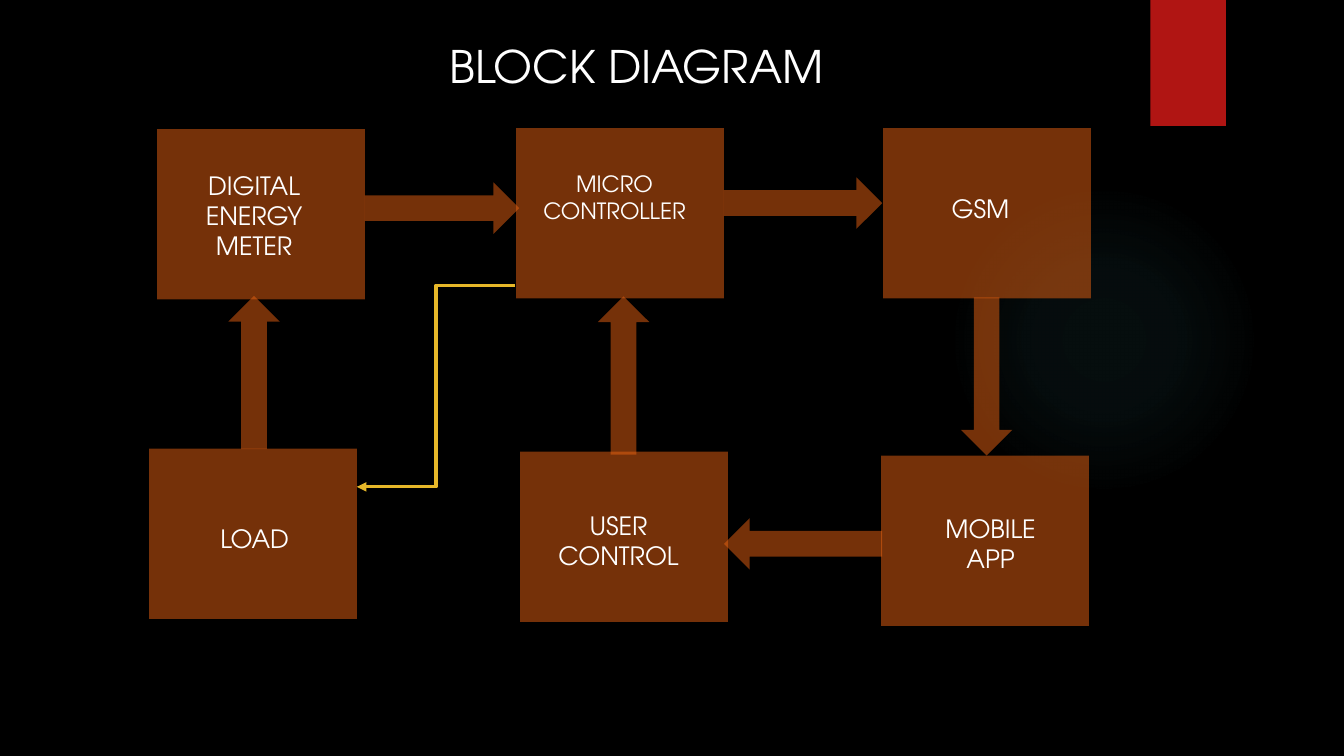
from pptx import Presentation
from pptx.dml.color import RGBColor
from pptx.enum.shapes import MSO_CONNECTOR, MSO_SHAPE
from pptx.enum.text import MSO_ANCHOR, MSO_AUTO_SIZE, PP_ALIGN
from pptx.oxml import parse_xml
from pptx.oxml.ns import nsdecls, qn
from pptx.util import Inches, Pt
from lxml.etree import SubElement

FONT = "TeX Gyre Adventor"
BLACK = RGBColor(0x00, 0x00, 0x00)
WHITE = RGBColor(0xFF, 0xFF, 0xFF)
ORANGE = RGBColor(0xEA, 0x63, 0x12)
RED = RGBColor(0xB0, 0x15, 0x13)
GOLD = RGBColor(0xE6, 0xB7, 0x29)
TEAL = RGBColor(0x50, 0xB9, 0xC1)

TITLE = ("BLOCK DIAGRAM", (4.03, 0.33, 4.57, 0.64))
BLOCK_WIDTH, BLOCK_HEIGHT = 2.06, 1.69
ARROW_HEIGHT = 0.51
BLOCKS = [
    ("DIGITAL ENERGY METER", (1.56, 1.28), (1.69, 1.64, 1.66, 1.01), 18),
    ("MICRO CONTROLLER", (5.12, 1.27), (5.11, 1.64, 1.97, 0.94), 16),
    ("GSM", (8.76, 1.27), (8.92, 1.87, 1.61, 0.71), 18),
    ("MOBILE APP", (8.74, 4.52), (9.12, 5.04, 1.41, 0.71), 18),
    ("USER\nCONTROL", (5.16, 4.48), (5.25, 5.01, 1.77, 0.71), 18),
    ("LOAD", (1.48, 4.45), (2.02, 5.14, 1.01, 0.4), 18),
]
ARROWS = [
    (3.62, 1.81, 1.53, 0),
    (7.18, 1.76, 1.57, 0),
    (9, 3.48, 1.57, 90),
    (7.18, 5.14, 1.57, 180),
    (5.4, 3.47, 1.57, 270),
    (1.76, 3.44, 1.52, 270),
]
LOAD_CONTROL = (5.11, 2.83, 3.54, 4.83)
GLOW_STOPS = [(0, 7), (36, 6), (69, 0)]


def inches(*lengths):
    return [Inches(length) for length in lengths]


def add_filled(kind, box, color, opacity=100):
    shape = slide.shapes.add_shape(kind, *inches(*box))
    shape.shadow.inherit = False
    shape.line.fill.background()
    shape.fill.solid()
    shape.fill.fore_color.rgb = color
    if opacity < 100:
        color_element = shape.fill._xPr.find(qn("a:solidFill"))[0]
        SubElement(color_element, qn("a:alpha"), val=str(opacity * 1000))
    return shape


def write_text(shape, text, size=18, align=PP_ALIGN.CENTER):
    frame = shape.text_frame
    frame.word_wrap = True
    frame.auto_size = MSO_AUTO_SIZE.NONE
    frame.vertical_anchor = MSO_ANCHOR.TOP
    frame.text = text
    for paragraph in frame.paragraphs:
        paragraph.alignment = align
        font = paragraph.runs[0].font
        font.name = FONT
        font.size = Pt(size)
        font.color.rgb = WHITE


def add_glow():
    glow = add_filled(MSO_SHAPE.OVAL, (9.41, 1.83, 3.08, 3.08), TEAL)
    stops = "".join(
        f'<a:gs pos="{position * 1000}"><a:srgbClr val="{TEAL}">'
        f'<a:alpha val="{opacity * 1000}"/></a:srgbClr></a:gs>'
        for position, opacity in GLOW_STOPS
    )
    gradient = parse_xml(
        f'<a:gradFill {nsdecls("a")}><a:gsLst>{stops}</a:gsLst><a:path path="circle">'
        '<a:fillToRect l="50000" t="50000" r="50000" b="50000"/></a:path></a:gradFill>'
    )
    properties = glow.fill._xPr
    properties.replace(properties.find(qn("a:solidFill")), gradient)


presentation = Presentation()
presentation.slide_width, presentation.slide_height = inches(13.33, 7.5)
slide = presentation.slides.add_slide(presentation.slide_layouts[5])
slide.background.fill.solid()
slide.background.fill.fore_color.rgb = BLACK

title_text, title_box = TITLE
title = slide.shapes.title
title.left, title.top, title.width, title.height = inches(*title_box)
write_text(title, title_text, size=32)

add_glow()
add_filled(MSO_SHAPE.RECTANGLE, (11.41, 0, 0.75, 1.25), RED)

for text, corner, label_box, size in BLOCKS:
    add_filled(MSO_SHAPE.RECTANGLE, (*corner, BLOCK_WIDTH, BLOCK_HEIGHT), ORANGE, opacity=50)
    label = slide.shapes.add_textbox(*inches(*label_box))
    write_text(label, text, size=size)

for left, top, length, rotation in ARROWS:
    arrow = add_filled(MSO_SHAPE.RIGHT_ARROW, (left, top, length, ARROW_HEIGHT), ORANGE, opacity=50)
    arrow.rotation = rotation

connector = slide.shapes.add_connector(MSO_CONNECTOR.ELBOW, *inches(*LOAD_CONTROL))
connector.line.color.rgb = GOLD
connector.line.width = Pt(2.25)
SubElement(connector.line._get_or_add_ln(), qn("a:tailEnd"), type="triangle")
SubElement(connector._element.spPr, qn("a:effectLst"))

presentation.save("out.pptx")
